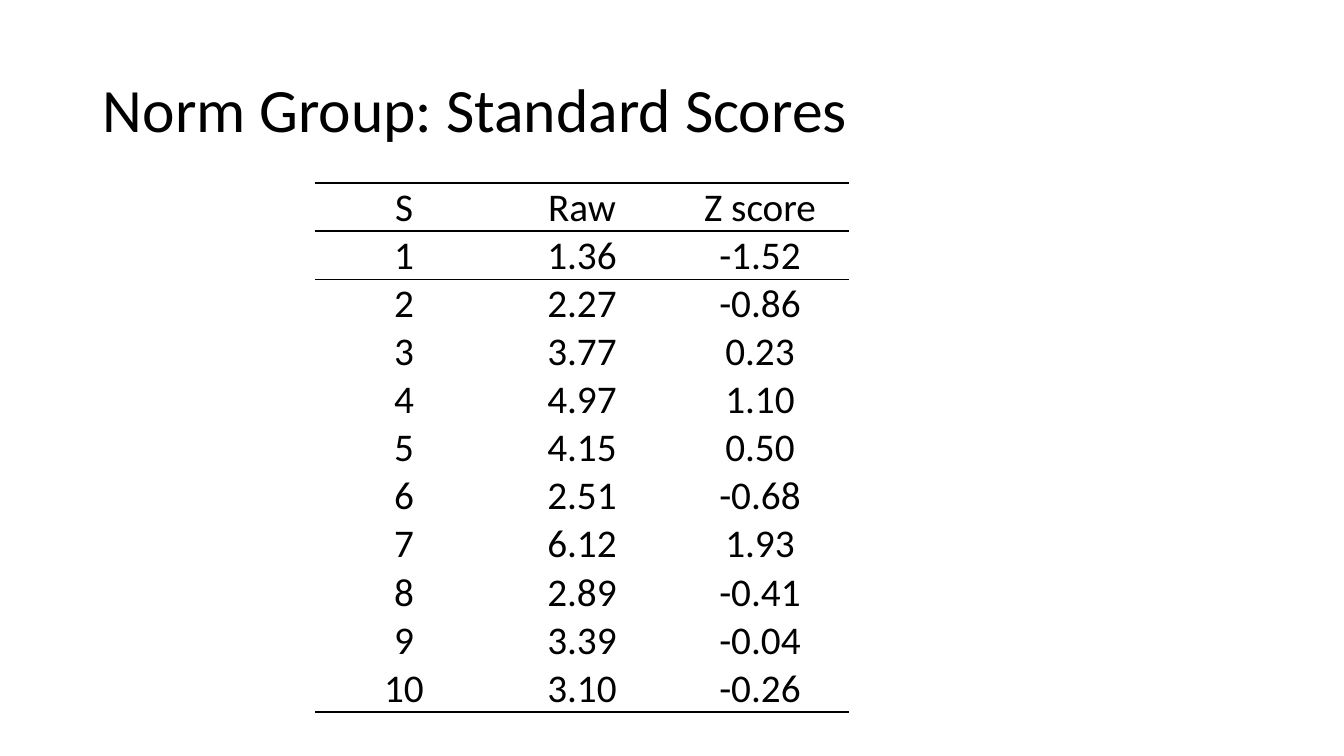
"""Build the slide of standard scores for the norm group."""
import pptx
import pptx.dml.color
import pptx.enum.text
import pptx.oxml
import pptx.oxml.ns
import pptx.util

SCALE = 914400 / 100.8
BLACK = pptx.dml.color.RGBColor(0, 0, 0)
WHITE = pptx.dml.color.RGBColor(255, 255, 255)
NO_STYLE_NO_GRID = "{2D5ABB26-0587-4C30-8999-92F81FD0307C}"
ALIGN = pptx.enum.text.PP_ALIGN
ANCHOR = pptx.enum.text.MSO_ANCHOR
qn = pptx.oxml.ns.qn

HEADER = ("S", "Raw", "Z score")
RAW = ("1.36", "2.27", "3.77", "4.97", "4.15", "2.51", "6.12", "2.89", "3.39", "3.10")
Z_SCORES = ("-1.52", "-0.86", "0.23", "1.10", "0.50", "-0.68", "1.93", "-0.41", "-0.04", "-0.26")


def px(n):
    return pptx.util.Emu(round(n * SCALE))


def write(tf, text, size, font="Calibri", color=BLACK, align=ALIGN.LEFT, spacing=1.0):
    p = tf.paragraphs[0]
    p.alignment = align
    p.line_spacing = spacing
    r = p.add_run()
    r.text = text
    r.font.size = pptx.util.Pt(size)
    r.font.name = font
    r.font.color.rgb = color


class Deck:
    def __init__(self, prs):
        self.title_size = 44
        self.cell_size = 28
        self.rule_width = pptx.util.Pt(1)
        self.s = prs.slides.add_slide(prs.slide_layouts[6])
        self.s.background.fill.solid()
        self.s.background.fill.fore_color.rgb = WHITE

    def title(self, text, x, y, w, h):
        tf = self.s.shapes.add_textbox(px(x), px(y), px(w), px(h)).text_frame
        tf.word_wrap = True
        tf.vertical_anchor = ANCHOR.MIDDLE
        write(tf, text, self.title_size, spacing=0.9)

    def rule(self, tc, sides):
        for i, side in enumerate(sides):
            tc.get_or_add_tcPr().insert(i, pptx.oxml.parse_xml(
                f'<a:{side} {pptx.oxml.ns.nsdecls("a")} w="{self.rule_width}">'
                f'<a:solidFill><a:srgbClr val="{BLACK}"/></a:solidFill></a:{side}>'))

    def table(self, rows, x, y, col_w, row_h):
        n_rows, n_cols = len(rows), len(rows[0])
        frame = self.s.shapes.add_table(
            n_rows, n_cols, px(x), px(y), px(col_w * n_cols), px(row_h * n_rows))
        table = frame.table
        table.first_row = table.horz_banding = False
        next(frame.element.iter(qn("a:tableStyleId"))).text = NO_STYLE_NO_GRID
        sides = {0: ("lnT", "lnB"), 1: ("lnT",), n_rows - 1: ("lnB",)}
        for i, tr in enumerate(frame.element.iter(qn("a:tr"))):
            for j, tc in enumerate(tr.iter(qn("a:tc"))):
                cell = table.cell(i, j)
                cell.fill.background()
                cell.vertical_anchor = ANCHOR.BOTTOM
                cell.margin_left = cell.margin_right = cell.margin_top = px(1)
                cell.margin_bottom = 0
                write(cell.text_frame, rows[i][j], self.cell_size, align=ALIGN.CENTER)
                self.rule(tc, sides.get(i, ()))


prs = pptx.Presentation()
prs.slide_width, prs.slide_height = px(1344), px(756)
deck = Deck(prs)
deck.title("Norm Group: Standard Scores", 93, 40, 1159, 146)
scores = [(str(n), *pair) for n, pair in enumerate(zip(RAW, Z_SCORES), 1)]
deck.table([HEADER, *scores], 315, 183, 178, 48)
prs.save("out.pptx")
